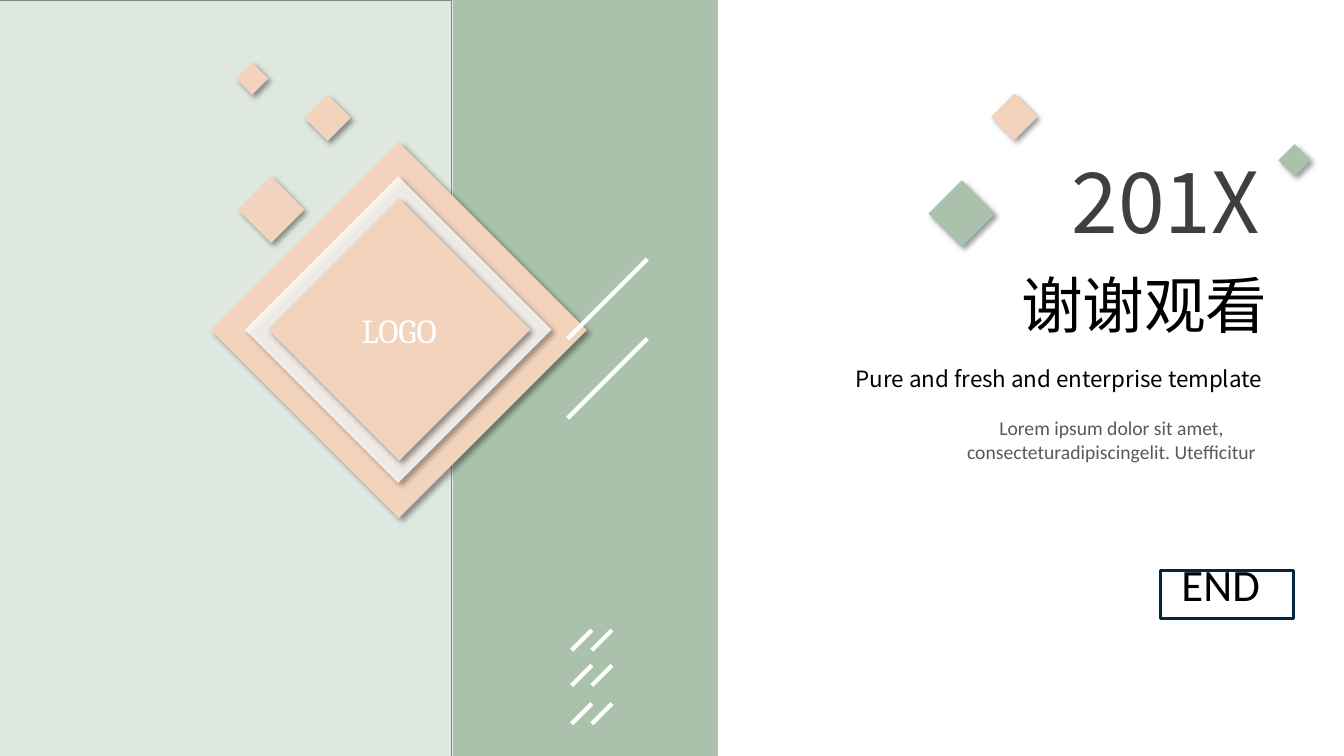
import pptx
import pptx.util
import pptx.dml.color
import pptx.enum.shapes
import pptx.enum.text
import pptx.oxml.ns
from lxml import etree

Inches = pptx.util.Inches
Pt = pptx.util.Pt
RGBColor = pptx.dml.color.RGBColor
MSO_SHAPE = pptx.enum.shapes.MSO_SHAPE
PP_ALIGN = pptx.enum.text.PP_ALIGN
qn = pptx.oxml.ns.qn

GREEN = RGBColor(0xAA, 0xC2, 0xAC)
GREEN_EDGE = RGBColor(0x7C, 0x8E, 0x7D)
PEACH = RGBColor(0xF3, 0xD3, 0xBC)
WHITE = RGBColor(0xFF, 0xFF, 0xFF)
BLACK = RGBColor(0x00, 0x00, 0x00)
DARK_GRAY = RGBColor(0x3F, 0x3F, 0x3F)
GRAY = RGBColor(0x59, 0x59, 0x59)
NAVY = RGBColor(0x05, 0x26, 0x3F)
CJK_FONT = "Noto Sans CJK SC"


def set_alpha(color, percent):
    etree.SubElement(color, qn("a:alpha"), val=str(percent * 1000))


def add_soft_shadow(sp):
    """Cast a 40 % black shadow to the lower right."""
    effects = etree.SubElement(sp.element.spPr, qn("a:effectLst"))
    shadow = etree.SubElement(
        effects, qn("a:outerShdw"), blurRad=str(Pt(4)), dist=str(Pt(3)),
        dir=str(45 * 60000), algn="tl", rotWithShape="0")
    set_alpha(etree.SubElement(shadow, qn("a:srgbClr"), val=str(BLACK)), 40)


def add_shape(slide, kind, left, top, width, height, fill=None, alpha=100,
              line=None, line_width=1):
    sp = slide.shapes.add_shape(
        kind, Inches(left), Inches(top), Inches(width), Inches(height))
    if fill is None:
        sp.fill.background()
    else:
        sp.fill.solid()
        sp.fill.fore_color.rgb = fill
        if alpha < 100:
            set_alpha(sp.element.spPr.find(".//" + qn("a:srgbClr")), alpha)
    if line is None:
        sp.line.fill.background()
    else:
        sp.line.color.rgb = line
        sp.line.width = Pt(line_width)
    return sp


def add_panel(slide, *box, **style):
    sp = add_shape(slide, MSO_SHAPE.RECTANGLE, *box, **style)
    sp.shadow.inherit = False


def add_diamond(slide, left, top, size, fill, alpha=100):
    sp = add_shape(slide, MSO_SHAPE.DIAMOND, left, top, size, size, fill, alpha)
    add_soft_shadow(sp)
    return sp


def add_strokes(slide, starts, length):
    """Group white strokes that rise at 45 degrees from their lower left ends."""
    group = slide.shapes.add_group_shape()
    for x, y in starts:
        stroke = group.shapes.add_connector(
            pptx.enum.shapes.MSO_CONNECTOR.STRAIGHT, Inches(x), Inches(y),
            Inches(x + length), Inches(y - length))
        stroke.line.color.rgb = WHITE
        stroke.line.width = Pt(3)
        etree.SubElement(stroke.element.spPr, qn("a:effectLst"))


def write(sp, text, size, font, color, align=PP_ALIGN.LEFT, spacing=None):
    tf = sp.text_frame
    tf.word_wrap = True
    tf.text = text
    p = tf.paragraphs[0]
    p.alignment = align
    p.line_spacing = spacing
    r = p.runs[0]
    r.font.size = Pt(size)
    r.font.name = font
    r.font.color.rgb = color
    etree.SubElement(r.font._element, qn("a:ea"), typeface=font)


def add_text(slide, left, top, width, height, *style, **layout):
    sp = slide.shapes.add_textbox(
        Inches(left), Inches(top), Inches(width), Inches(height))
    write(sp, *style, **layout)


def main():
    prs = pptx.Presentation()
    prs.slide_width = Inches(13.33)
    prs.slide_height = Inches(7.5)
    slide = prs.slides.add_slide(prs.slide_layouts[6])

    add_panel(slide, -0.15, 0, 4.63, 7.68, fill=GREEN, alpha=37, line=GREEN_EDGE)
    add_panel(slide, 4.49, 0, 2.63, 7.5, fill=GREEN)

    add_diamond(slide, 2.09, 1.41, 3.73, PEACH)
    add_diamond(slide, 2.43, 1.75, 3.04, WHITE, alpha=81)
    badge = add_diamond(slide, 2.66, 1.97, 2.6, PEACH)
    write(badge, "LOGO", 24, "Cambria", WHITE, align=PP_ALIGN.CENTER)
    badge.text_frame.vertical_anchor = pptx.enum.text.MSO_ANCHOR.MIDDLE

    add_diamond(slide, 2.36, 1.75, 0.66, PEACH)
    add_diamond(slide, 3.02, 0.94, 0.46, PEACH)
    add_strokes(slide, [(5.63, 4.15), (5.63, 3.36)], 0.79)
    add_diamond(slide, 2.34, 0.62, 0.32, PEACH)
    add_strokes(slide, [(x, y) for y in (6.8, 6.45, 7.18) for x in (5.87, 5.67)], 0.2)

    add_text(slide, 10.53, 1.63, 2.77, 1.11, "201X", 60, CJK_FONT, DARK_GRAY,
             spacing=0.8)
    add_text(slide, 10.03, 2.74, 5.6, 0.84, "谢谢观看", 44, CJK_FONT, BLACK,
             spacing=0.8)
    add_text(slide, 8.39, 3.62, 5.27, 0.37, "Pure and fresh and enterprise template",
             16, CJK_FONT, BLACK, spacing=0.8)
    add_text(slide, 9.06, 4.08, 3.93, 0.57,
             "Lorem ipsum dolor sit amet, consecteturadipiscingelit. Utefficitur",
             14, "Calibri", GRAY, align=PP_ALIGN.CENTER)

    add_diamond(slide, 9.21, 1.79, 0.66, GREEN)
    add_diamond(slide, 9.83, 0.93, 0.46, PEACH)
    add_diamond(slide, 12.68, 1.43, 0.32, GREEN)

    add_panel(slide, 11.51, 5.66, 1.32, 0.48, line=NAVY, line_width=2.25)
    add_text(slide, 11.62, 5.58, 1.2, 0.64, "END", 32, "Calibri", BLACK, spacing=0.8)

    prs.save("out.pptx")


if __name__ == "__main__":
    main()
